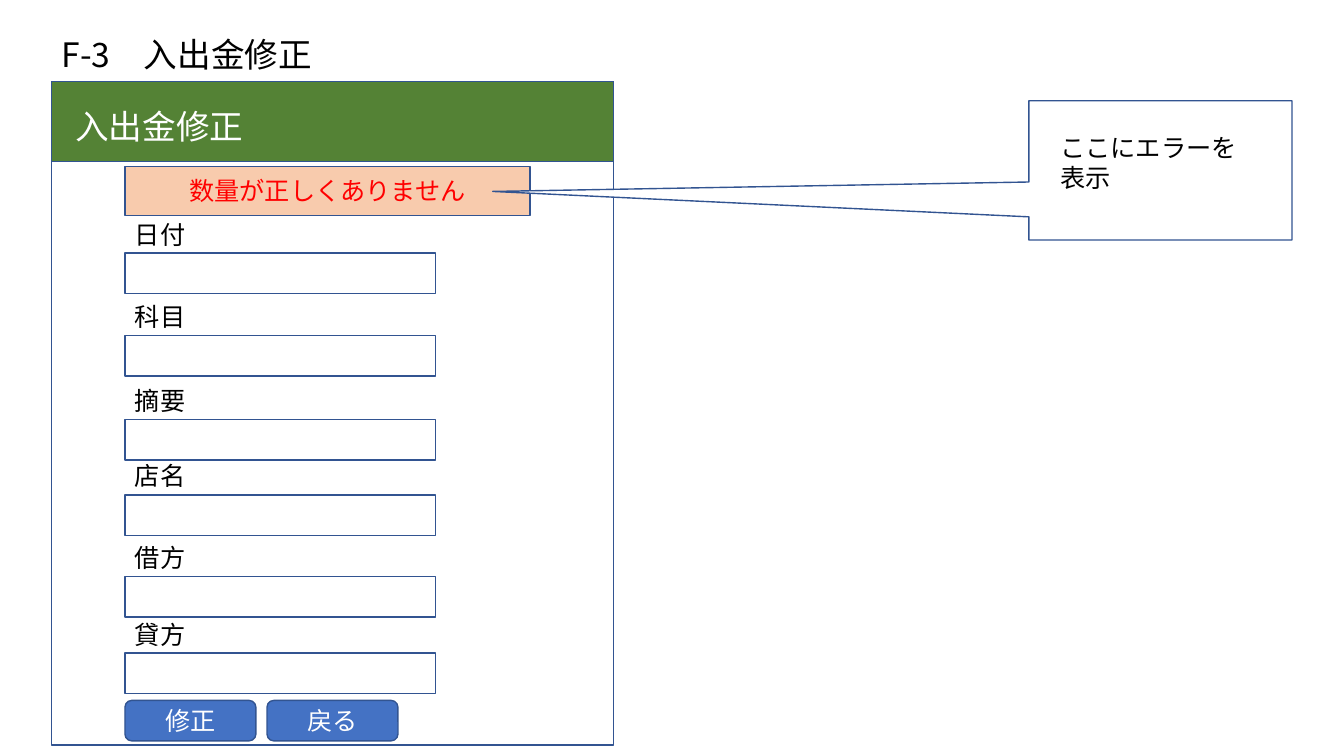
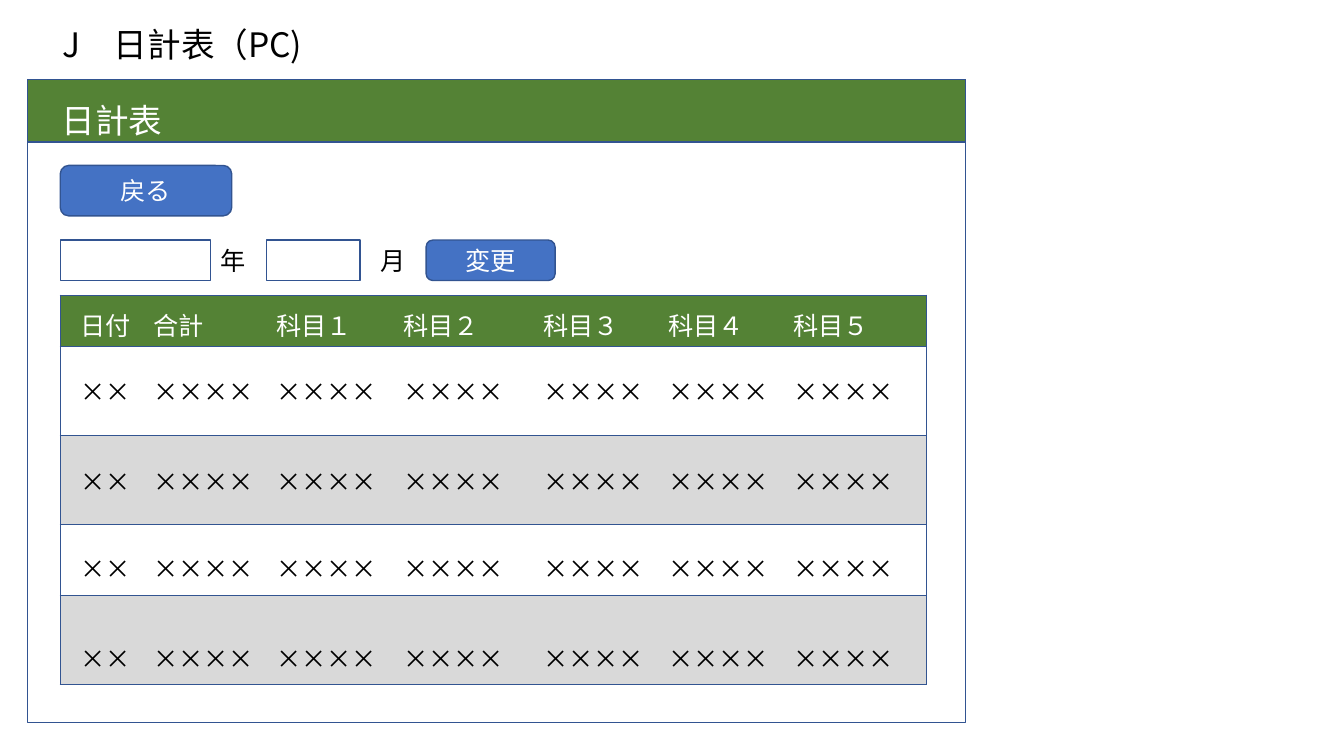
from lxml.etree import SubElement
from pptx import Presentation
from pptx.dml.color import RGBColor
from pptx.enum.shapes import MSO_SHAPE as Preset
from pptx.enum.text import MSO_ANCHOR as Anchor, MSO_AUTO_SIZE as AutoSize, PP_ALIGN as Align
from pptx.oxml.ns import qn
from pptx.util import Cm, Pt

FONT = "Noto Sans CJK JP"
BLACK, WHITE, RED = "000000", "FFFFFF", "FF0000"
GREEN, BLUE, LINE = "548235", "4472C4", "325491"
PEACH, GREY = "F8CBAD", "D9D9D9"
CONTROL_HEIGHT = 1.02

EDIT_SCREEN = {
    "heading": ("F-3　入出金修正", 1.3, 0.74),
    "frame": (1.3, 2.06, 14.17, 16.71),
    "band_height": 2.01,
    "band_title": ("入出金修正", 1.65, 2.54),
}
ERROR = "数量が正しくありません"
ERROR_NOTE = "ここにエラーを表示"
FORM_LEFT = 3.15
LABEL_RISE = 0.99
FIELDS = [("日付", 6.38), ("科目", 8.46), ("摘要", 10.57),
          ("店名", 12.47), ("借方", 14.53), ("貸方", 16.46)]
FORM_BUTTONS = ["修正", "戻る"]

DAILY_SCREEN = {
    "heading": ("J　日計表（PC)", 1.32, 0.48),
    "frame": (0.69, 2.01, 23.65, 16.2),
    "band_height": 1.57,
    "band_title": ("日計表", 1.3, 2.39),
}
DAILY_LEFT = 1.52
PERIOD_TOP = 6.05
PERIOD_FIELDS = [(1.52, 3.78), (6.71, 2.36)]
PERIOD_UNITS = [("年", 5.31), ("月", 9.35)]
COLUMNS = [("日付", 2.09), ("合計", 3.1), ("科目１", 3.2), ("科目２", 3.53),
           ("科目３", 3.15), ("科目４", 3.15), ("科目５", 3.6)]
DAILY_ROW = ["××"] + ["××××"] * 6
ROW_STYLES = [(1.3, 0.28, GREEN), (2.24, 0.63, None), (2.24, 0.68, GREY),
              (1.78, 0.63, None), (2.24, 1.1, GREY)]


def color(value):
    """Turn a hex string into a colour."""
    return RGBColor.from_string(value)


def paint(fill, value):
    """Apply a solid fill, or none when no colour is given."""
    if value is None:
        fill.background()
    else:
        fill.solid()
        fill.fore_color.rgb = color(value)


def write(text_frame, text, size, ink, align=Align.LEFT):
    """Write one run into the first paragraph of a text frame."""
    paragraph = text_frame.paragraphs[0]
    paragraph.alignment = align
    run = paragraph.add_run()
    run.text = text
    run.font.size = Pt(size)
    run.font.color.rgb = color(ink)
    run.font.name = FONT
    SubElement(run.font._element, qn("a:ea"), typeface=FONT)


def add_label(slide, text, left, top, width=6.6, size=18, ink=BLACK):
    """Add a line of text on its own."""
    box = slide.shapes.add_textbox(Cm(left), Cm(top), Cm(width), Cm(size / 18))
    box.text_frame.word_wrap = True
    box.text_frame.auto_size = AutoSize.SHAPE_TO_FIT_TEXT
    write(box.text_frame, text, size, ink)


def add_box(slide, place, fill=None, text=None, ink=WHITE, preset=Preset.RECTANGLE):
    """Add an outlined shape with optional centred text."""
    shape = slide.shapes.add_shape(preset, *map(Cm, place))
    shape.shadow.inherit = False
    paint(shape.fill, fill)
    shape.line.color.rgb = color(LINE)
    shape.line.width = Pt(1)
    if text:
        shape.text_frame.vertical_anchor = Anchor.MIDDLE
        write(shape.text_frame, text, 18, ink, Align.CENTER)
    return shape


def add_button(slide, text, left, top, width, height=CONTROL_HEIGHT):
    """Add a rounded blue button."""
    add_box(slide, (left, top, width, height), BLUE, text, preset=Preset.ROUNDED_RECTANGLE)


def add_screen(presentation, screen):
    """Add a slide with its heading, screen frame and green title band."""
    slide = presentation.slides.add_slide(presentation.slide_layouts[6])
    add_label(slide, *screen["heading"], width=22, size=24)
    add_box(slide, screen["frame"])
    add_box(slide, (*screen["frame"][:3], screen["band_height"]), GREEN)
    add_label(slide, *screen["band_title"], size=24, ink=WHITE)
    return slide


def add_error_note(slide):
    """Add the callout that points at the error message."""
    callout = add_box(slide, (25.93, 2.54, 6.63, 3.51), WHITE,
                      preset=Preset.RECTANGULAR_CALLOUT)
    callout.adjustments[0] = -2.538
    callout.adjustments[1] = 0.151
    frame = callout.text_frame
    frame.word_wrap = True
    frame.vertical_anchor = Anchor.TOP
    frame.margin_left = frame.margin_top = Cm(0.79)
    frame.margin_right = Cm(0.93)
    write(frame, ERROR_NOTE, 18, BLACK)


def set_borders(cell, visible_sides):
    """Draw the named sides of a cell and clear the others."""
    properties = cell._tc.get_or_add_tcPr()
    for side in "LRTB":
        border = SubElement(properties, qn(f"a:ln{side}"), w=str(Pt(1)))
        if side in visible_sides:
            solid = SubElement(border, qn("a:solidFill"))
            SubElement(solid, qn("a:srgbClr"), val=LINE)
        else:
            SubElement(border, qn("a:noFill"))


def add_daily_table(slide):
    """Add the table of daily totals by account."""
    rows = [[name for name, _ in COLUMNS]] + [DAILY_ROW] * (len(ROW_STYLES) - 1)
    width = sum(width for _, width in COLUMNS)
    height = sum(height for height, _, _ in ROW_STYLES)
    table = slide.shapes.add_table(len(rows), len(COLUMNS), Cm(DAILY_LEFT), Cm(7.44),
                                   Cm(width), Cm(height)).table
    table.first_row = table.horz_banding = False
    for column, (_, width) in zip(table.columns, COLUMNS):
        column.width = Cm(width)
    last = len(COLUMNS) - 1
    for row, texts, (height, inset, fill) in zip(table.rows, rows, ROW_STYLES):
        row.height = Cm(height)
        for index, (cell, text) in enumerate(zip(row.cells, texts)):
            cell.margin_left = Cm(0.25 if index else 0.5)
            cell.margin_right = cell.margin_bottom = Cm(0)
            cell.margin_top = Cm(inset)
            set_borders(cell, "TB" + "L" * (index == 0) + "R" * (index == last))
            paint(cell.fill, fill)
            write(cell.text_frame, text, 18, WHITE if fill == GREEN else BLACK)


def build_edit_slide(presentation):
    """Build the screen for correcting an entry."""
    slide = add_screen(presentation, EDIT_SCREEN)
    add_box(slide, (FORM_LEFT, 4.19, 10.21, 1.24), PEACH, ERROR, RED)
    add_error_note(slide)
    for name, top in FIELDS:
        add_label(slide, name, FORM_LEFT, top - LABEL_RISE)
        add_box(slide, (FORM_LEFT, top, 7.82, CONTROL_HEIGHT))
    for index, text in enumerate(FORM_BUTTONS):
        add_button(slide, text, FORM_LEFT + 3.58 * index, 17.65, 3.3)


def build_daily_slide(presentation):
    """Build the daily report screen."""
    slide = add_screen(presentation, DAILY_SCREEN)
    add_button(slide, "戻る", DAILY_LEFT, 4.17, 4.32, 1.27)
    for left, width in PERIOD_FIELDS:
        add_box(slide, (left, PERIOD_TOP, width, CONTROL_HEIGHT))
    for text, left in PERIOD_UNITS:
        add_label(slide, text, left, PERIOD_TOP, 1.4)
    add_button(slide, "変更", 10.74, PERIOD_TOP, 3.25)
    add_daily_table(slide)


def main():
    """Build and save the presentation."""
    presentation = Presentation()
    presentation.slide_width = Cm(33.87)
    presentation.slide_height = Cm(19.05)
    build_edit_slide(presentation)
    build_daily_slide(presentation)
    presentation.save("out.pptx")


if __name__ == "__main__":
    main()
